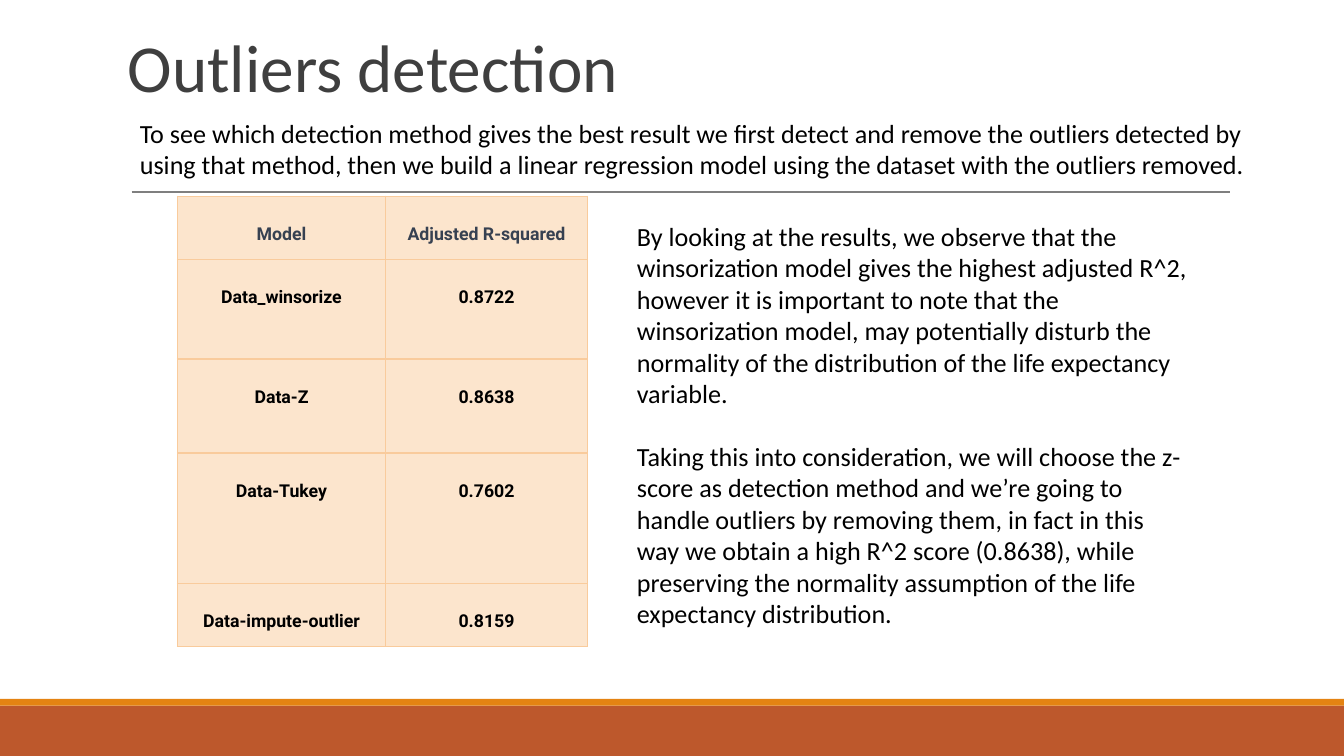
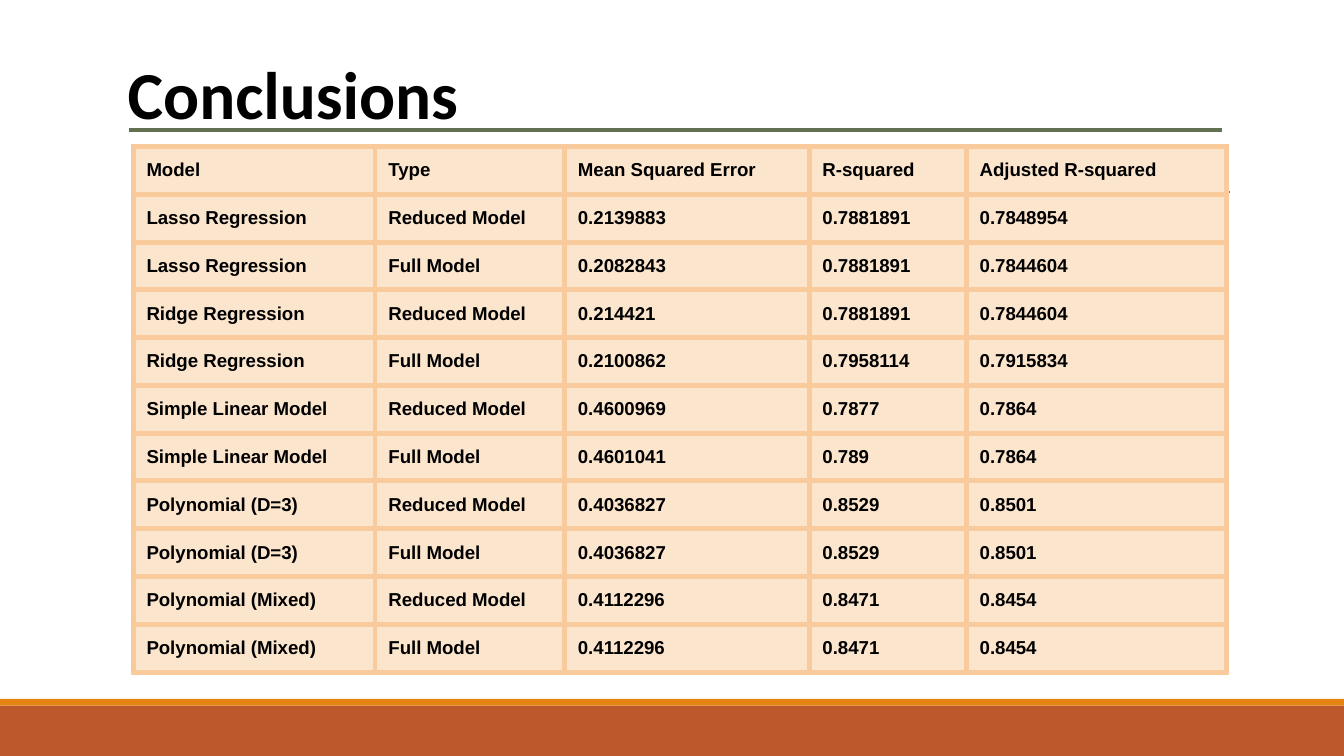
from lxml.etree import SubElement
from pptx import Presentation
from pptx.dml.color import RGBColor
from pptx.enum.shapes import MSO_CONNECTOR, MSO_SHAPE
from pptx.enum.text import MSO_ANCHOR, MSO_AUTO_SIZE, PP_ALIGN
from pptx.oxml import parse_xml
from pptx.oxml.ns import nsdecls, qn
from pptx.util import Inches, Pt

# Widescreen page, palette and text settings
SLIDE_WIDTH = 10
SLIDE_HEIGHT = SLIDE_WIDTH * 9 / 16
BLACK, DARK_GREY, GREY, SLATE = "000000", "3F3F3F", "7F7F7F", "374151"
RUST, ORANGE, GREEN = "BD582C", "E48312", "637052"
CELL_FILL, CELL_BORDER = "FCE5CD", "F9CB9C"
TEXT_FONT = "Calibri"
TEXT_INSETS = (0.07, 0.04)
CELL_INSET = 0.1

# Wording and values
OUTLIER_INTRO = (
    "To see which detection method gives the best result we first detect and "
    "remove the outliers detected by using that method, then we build a linear "
    "regression model using the dataset with the outliers removed."
)
OUTLIER_FINDINGS = [
    "By looking at the results, we observe that the winsorization model gives "
    "the highest adjusted R^2, however it is important to note that the "
    "winsorization model, may potentially disturb the normality of the "
    "distribution of the life expectancy variable.",
    "Taking this into consideration, we will choose the z-score as detection "
    "method and we’re going to handle outliers by removing them, in fact in this "
    "way we obtain a high R^2 score (0.8638), while preserving the normality "
    "assumption of the life expectancy distribution.",
]
OUTLIER_SCORES = [
    ("Model", "Adjusted R-squared"),
    ("Data_winsorize", "0.8722"),
    ("Data-Z", "0.8638"),
    ("Data-Tukey", "0.7602"),
    ("Data-impute-outlier", "0.8159"),
]
MODEL_SCORES = [
    ("Model", "Type", "Mean Squared Error", "R-squared", "Adjusted R-squared"),
    ("Lasso Regression", "Reduced Model", "0.2139883", "0.7881891", "0.7848954"),
    ("Lasso Regression", "Full Model", "0.2082843", "0.7881891", "0.7844604"),
    ("Ridge Regression", "Reduced Model", "0.214421", "0.7881891", "0.7844604"),
    ("Ridge Regression", "Full Model", "0.2100862", "0.7958114", "0.7915834"),
    ("Simple Linear Model", "Reduced Model", "0.4600969", "0.7877", "0.7864"),
    ("Simple Linear Model", "Full Model", "0.4601041", "0.789", "0.7864"),
    ("Polynomial (D=3)", "Reduced Model", "0.4036827", "0.8529", "0.8501"),
    ("Polynomial (D=3)", "Full Model", "0.4036827", "0.8529", "0.8501"),
    ("Polynomial (Mixed)", "Reduced Model", "0.4112296", "0.8471", "0.8454"),
    ("Polynomial (Mixed)", "Full Model", "0.4112296", "0.8471", "0.8454"),
]


def color(hex_value):
    return RGBColor.from_string(hex_value)


def set_insets(frame, horizontal, vertical):
    frame.margin_left = frame.margin_right = Inches(horizontal)
    frame.margin_top = frame.margin_bottom = Inches(vertical)


def add_run(paragraph, text, size, hex_value, font=TEXT_FONT, bold=False):
    run = paragraph.add_run()
    run.text = text
    run.font.name = font
    run.font.size = Pt(size)
    run.font.bold = bold
    run.font.color.rgb = color(hex_value)


def add_band(slide, top, height, hex_value):
    band = slide.shapes.add_shape(
        MSO_SHAPE.RECTANGLE, 0, Inches(top), Inches(SLIDE_WIDTH), Inches(height)
    )
    band.shadow.inherit = False
    band.fill.solid()
    band.fill.fore_color.rgb = color(hex_value)
    band.line.fill.background()
    return band


def add_rule(slide, left, top, right, hex_value, width):
    rule = slide.shapes.add_connector(
        MSO_CONNECTOR.STRAIGHT, Inches(left), Inches(top), Inches(right), Inches(top)
    )
    rule.line.color.rgb = color(hex_value)
    rule.line.width = Pt(width)
    SubElement(rule.element.spPr, qn("a:effectLst"))
    return rule


def add_layout_decoration(slide):
    """Draw the footer bands and title rule, then move them to the layout."""
    shared = [
        add_band(slide, 5.25, SLIDE_HEIGHT - 5.25, RUST),
        add_band(slide, 5.2, 0.05, ORANGE),
        add_rule(slide, 0.98, 1.43, 9.15, GREY, 0.75),
    ]
    for shape in shared:
        slide.slide_layout.shapes.element.append(shape.element)


def set_title(slide, box, text, hex_value, bold=False):
    title = slide.shapes.title
    title.left, title.top, title.width, title.height = map(Inches, box)
    frame = title.text_frame
    frame.auto_size = MSO_AUTO_SIZE.NONE
    frame.vertical_anchor = MSO_ANCHOR.BOTTOM
    set_insets(frame, *TEXT_INSETS)
    paragraph = frame.paragraphs[0]
    paragraph.alignment = PP_ALIGN.LEFT
    paragraph.line_spacing = 0.85
    add_run(paragraph, text, 36, hex_value, bold=bold)


def add_text(slide, box, texts, insets):
    frame = slide.shapes.add_textbox(*map(Inches, box)).text_frame
    frame.word_wrap = True
    set_insets(frame, *insets)
    for index, text in enumerate(texts):
        paragraph = frame.add_paragraph() if index else frame.paragraphs[0]
        if index:
            paragraph.space_before = Pt(17)
        add_run(paragraph, text, 14, BLACK)


def set_borders(cell, width):
    properties = cell._tc.get_or_add_tcPr()
    for index, side in enumerate(("lnL", "lnR", "lnT", "lnB")):
        border = parse_xml(
            f'<a:{side} {nsdecls("a")} w="{Pt(width)}"><a:solidFill>'
            f'<a:srgbClr val="{CELL_BORDER}"/></a:solidFill></a:{side}>'
        )
        properties.insert(index, border)


def add_score_table(slide, left, top, widths, heights, rows, font, size,
                    border, header_color=BLACK, alignment=PP_ALIGN.LEFT,
                    line_spacing=1.0):
    table = slide.shapes.add_table(
        len(rows), len(widths), Inches(left), Inches(top),
        Inches(sum(widths)), Inches(sum(heights))
    ).table
    table.first_row = table.horz_banding = False
    for column, width in zip(table.columns, widths):
        column.width = Inches(width)
    for row_index, (row, height) in enumerate(zip(rows, heights)):
        table.rows[row_index].height = Inches(height)
        for column_index, text in enumerate(row):
            cell = table.cell(row_index, column_index)
            set_insets(cell, CELL_INSET, CELL_INSET)
            cell.fill.solid()
            cell.fill.fore_color.rgb = color(CELL_FILL)
            set_borders(cell, border)
            paragraph = cell.text_frame.paragraphs[0]
            paragraph.alignment = alignment
            paragraph.line_spacing = line_spacing
            add_run(paragraph, text, size, BLACK if row_index else header_color,
                    font, bold=True)


def build_outliers_slide(slide):
    set_title(slide, (0.88, 0.07, 8.25, 0.76), "Outliers detection", DARK_GREY)
    add_text(slide, (0.97, 0.83, 8.39, 0.78), [OUTLIER_INTRO], TEXT_INSETS)
    add_score_table(
        slide, 1.32, 1.46, [1.55, 1.5], [0.47, 0.74, 0.7, 0.97, 0.47],
        OUTLIER_SCORES, "Roboto", 9.5, border=0.75, header_color=SLATE,
        alignment=PP_ALIGN.CENTER, line_spacing=1.71
    )
    add_text(slide, (4.64, 1.54, 4.3, 3.5), OUTLIER_FINDINGS, (0.1, 0.1))


def build_conclusions_slide(slide):
    set_title(slide, (0.88, -0.16, 8.25, 1.19), "Conclusions", BLACK, bold=True)
    add_score_table(
        slide, 0.99, 1.09, [1.8, 1.41, 1.82, 1.17, 1.94],
        [0.35] * len(MODEL_SCORES), MODEL_SCORES, "Arial", 10, border=3
    )
    add_rule(slide, 0.96, 0.97, 9.09, GREEN, 2.25)


def main():
    presentation = Presentation()
    presentation.slide_width = Inches(SLIDE_WIDTH)
    presentation.slide_height = Inches(SLIDE_HEIGHT)
    title_only = presentation.slide_layouts[5]

    outliers = presentation.slides.add_slide(title_only)
    add_layout_decoration(outliers)
    build_outliers_slide(outliers)
    build_conclusions_slide(presentation.slides.add_slide(title_only))
    presentation.save("out.pptx")


if __name__ == "__main__":
    main()
